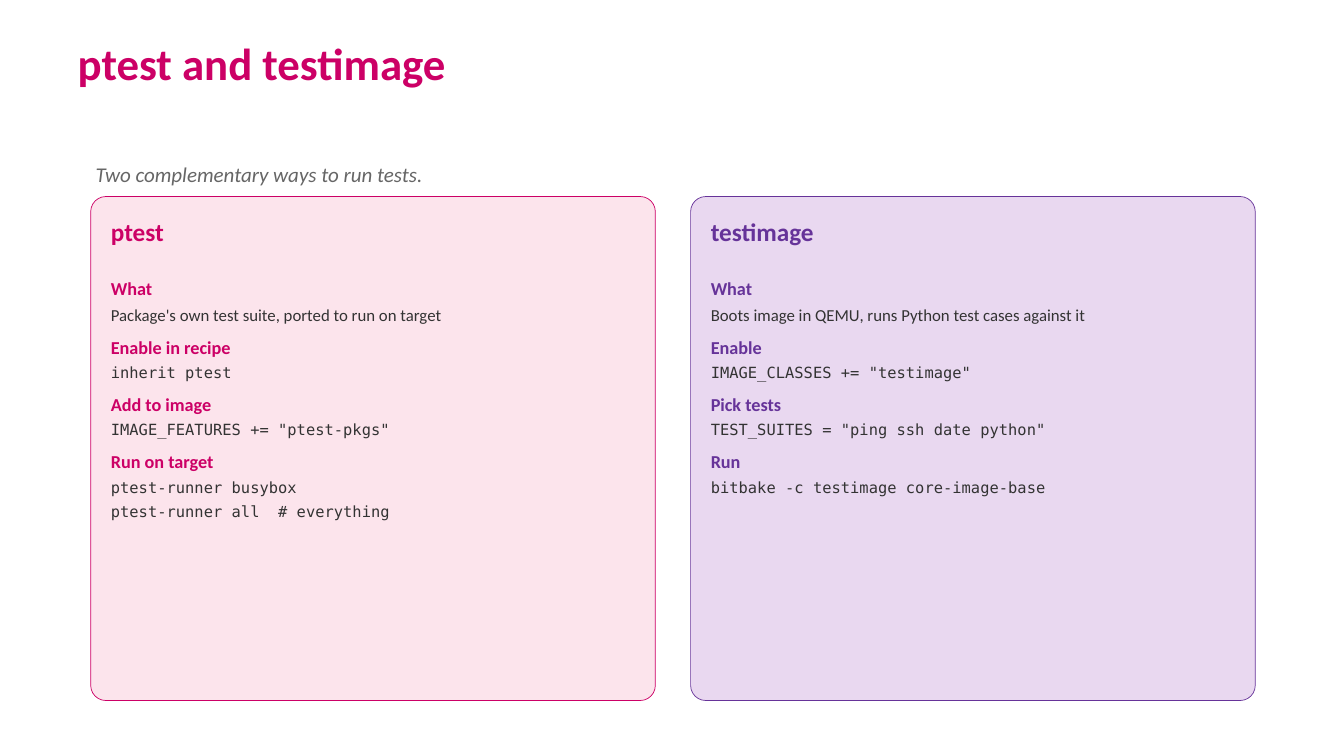
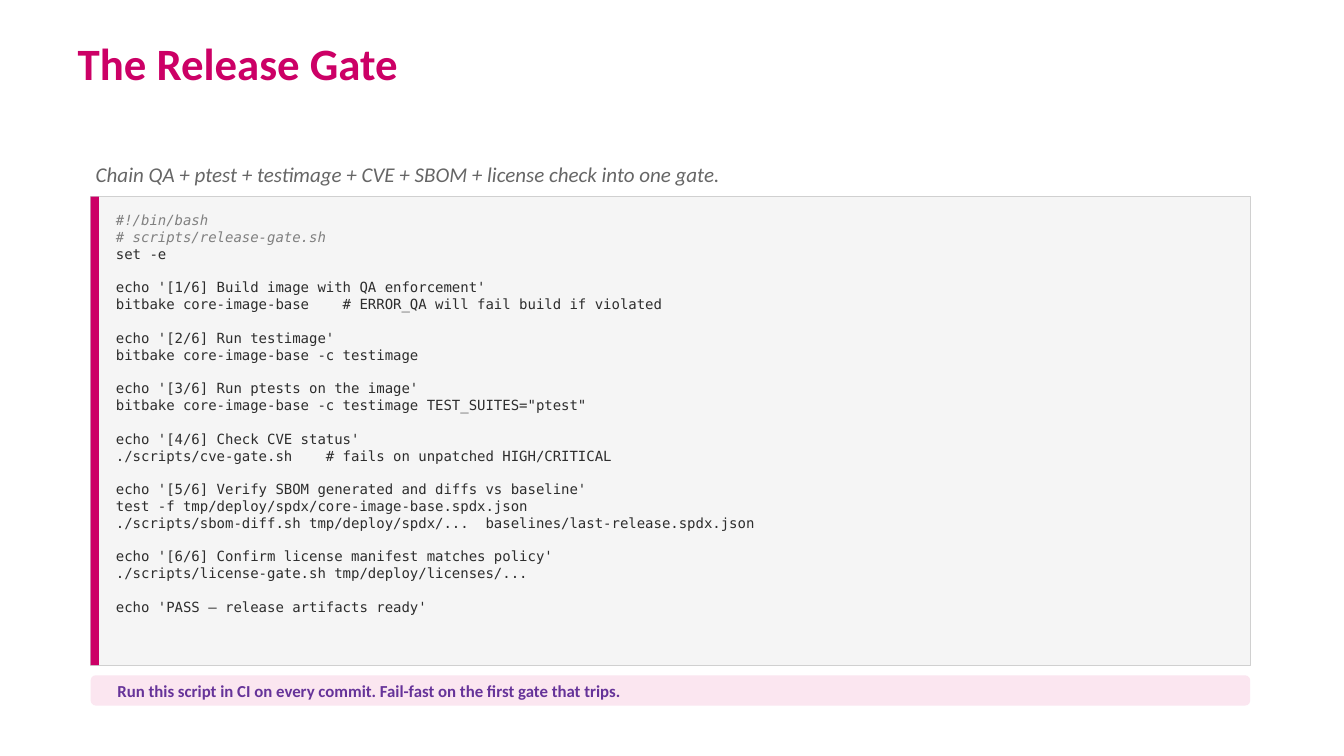
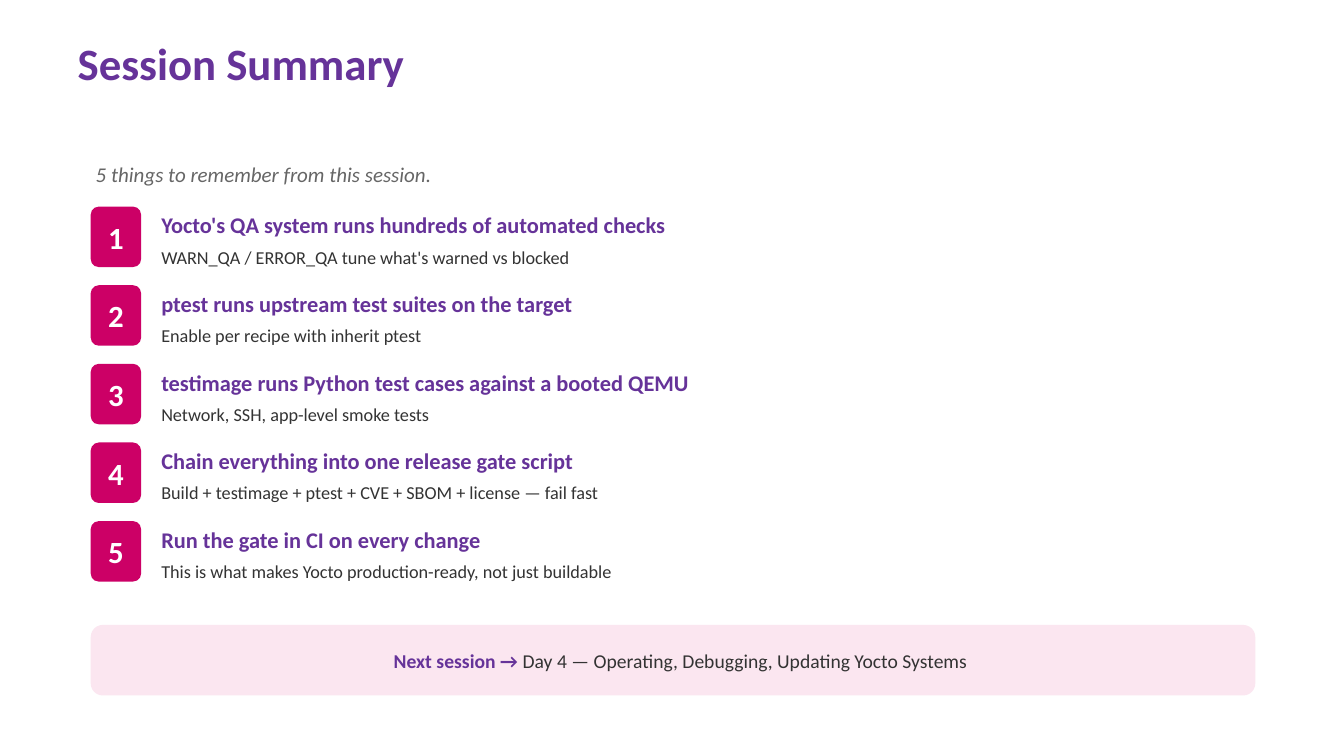
from dataclasses import dataclass
from typing import Optional

from pptx import Presentation
from pptx.dml.color import RGBColor
from pptx.enum import shapes, text
from pptx.util import Inches, Pt

MAGENTA = RGBColor(0xCC, 0x00, 0x66)
PURPLE = RGBColor(0x66, 0x33, 0x99)
ROSE = RGBColor(0xFC, 0xE4, 0xEC)
LILAC = RGBColor(0xE9, 0xD8, 0xF0)
BLUSH = RGBColor(0xFB, 0xE6, 0xF0)
PAPER = RGBColor(0xF5, 0xF5, 0xF5)
PAPER_EDGE = RGBColor(0xD0, 0xD0, 0xD0)
GREY = RGBColor(0x66, 0x66, 0x66)
COMMENT_GREY = RGBColor(0x80, 0x80, 0x80)
INK = RGBColor(0x33, 0x33, 0x33)
CODE_INK = RGBColor(0x2D, 0x2D, 0x2D)
WHITE = RGBColor(0xFF, 0xFF, 0xFF)

SANS = "Calibri"
MONO = "DejaVu Sans Mono"
LEFT = 0.9
BODY_TOP = 1.95
CARD_HEIGHT = 5
SCRIPT_HEIGHT = 4.65
CODE_LINE = 12


@dataclass(frozen=True)
class Style:
    size: float
    color: RGBColor
    bold: bool = False
    italic: bool = False
    face: str = SANS


@dataclass(frozen=True)
class Line:
    words: str
    style: Style
    before: float = 0
    after: float = 0


@dataclass(frozen=True)
class Topic:
    heading: str
    details: tuple[str, ...]
    is_code: bool = True


@dataclass(frozen=True)
class Card:
    name: str
    accent: RGBColor
    fill: RGBColor
    topics: tuple[Topic, ...]


@dataclass(frozen=True)
class Takeaway:
    heading: str
    detail: str


SUBTITLE = Style(15, GREY, italic=True)
PROSE = Style(12, INK)
SNIPPET = Style(11, INK, face=MONO)
CODE = Style(10, CODE_INK, face=MONO)
CODE_COMMENT = Style(10, COMMENT_GREY, italic=True, face=MONO)
NUMBER = Style(22, WHITE, bold=True)
TAKEAWAY_HEADING = Style(16, PURPLE, bold=True)
TAKEAWAY_DETAIL = Style(13, INK)
BANNER = Style(12, PURPLE, bold=True)
NEXT_LABEL = Style(14, PURPLE, bold=True)
NEXT_TOPIC = Style(14, INK)

CARDS = (
    Card("ptest", MAGENTA, ROSE, (
        Topic("What", ("Package's own test suite, ported to run on target",), is_code=False),
        Topic("Enable in recipe", ("inherit ptest",)),
        Topic("Add to image", ('IMAGE_FEATURES += "ptest-pkgs"',)),
        Topic("Run on target", ("ptest-runner busybox", "ptest-runner all  # everything")),
    )),
    Card("testimage", PURPLE, LILAC, (
        Topic("What", ("Boots image in QEMU, runs Python test cases against it",), is_code=False),
        Topic("Enable", ('IMAGE_CLASSES += "testimage"',)),
        Topic("Pick tests", ('TEST_SUITES = "ping ssh date python"',)),
        Topic("Run", ("bitbake -c testimage core-image-base",)),
    )),
)

GATE_STEPS = (
    ("#!/bin/bash", "# scripts/release-gate.sh", "set -e"),
    ("echo '[1/6] Build image with QA enforcement'",
     "bitbake core-image-base    # ERROR_QA will fail build if violated"),
    ("echo '[2/6] Run testimage'",
     "bitbake core-image-base -c testimage"),
    ("echo '[3/6] Run ptests on the image'",
     'bitbake core-image-base -c testimage TEST_SUITES="ptest"'),
    ("echo '[4/6] Check CVE status'",
     "./scripts/cve-gate.sh    # fails on unpatched HIGH/CRITICAL"),
    ("echo '[5/6] Verify SBOM generated and diffs vs baseline'",
     "test -f tmp/deploy/spdx/core-image-base.spdx.json",
     "./scripts/sbom-diff.sh tmp/deploy/spdx/...  baselines/last-release.spdx.json"),
    ("echo '[6/6] Confirm license manifest matches policy'",
     "./scripts/license-gate.sh tmp/deploy/licenses/..."),
    ("echo 'PASS — release artifacts ready'",),
)

TAKEAWAYS = (
    Takeaway("Yocto's QA system runs hundreds of automated checks",
             "WARN_QA / ERROR_QA tune what's warned vs blocked"),
    Takeaway("ptest runs upstream test suites on the target",
             "Enable per recipe with inherit ptest"),
    Takeaway("testimage runs Python test cases against a booted QEMU",
             "Network, SSH, app-level smoke tests"),
    Takeaway("Chain everything into one release gate script",
             "Build + testimage + ptest + CVE + SBOM + license — fail fast"),
    Takeaway("Run the gate in CI on every change",
             "This is what makes Yocto production-ready, not just buildable"),
)


def apply_style(font, style: Style) -> None:
    font.name = style.face
    font.size = Pt(style.size)
    font.bold = style.bold
    font.italic = style.italic
    font.color.rgb = style.color


def set_margins(frame, left: float, right: float) -> None:
    frame.margin_left, frame.margin_right = Inches(left), Inches(right)
    frame.margin_top = frame.margin_bottom = Inches(0.05)


def add_text(slide, left: float, top: float, width: float, height: float, *lines: Line) -> None:
    frame = slide.shapes.add_textbox(
        Inches(left), Inches(top), Inches(width), Inches(height)).text_frame
    frame.word_wrap = True
    frame.auto_size = text.MSO_AUTO_SIZE.SHAPE_TO_FIT_TEXT
    set_margins(frame, 0.05, 0.05)
    frame.text = "\n".join(line.words for line in lines)
    for paragraph, line in zip(frame.paragraphs, lines):
        if line.before:
            paragraph.space_before = Pt(line.before)
        if line.after:
            paragraph.space_after = Pt(line.after)
        apply_style(paragraph.runs[0].font, line.style)


def add_panel(slide, left: float, top: float, width: float, height: float, fill: RGBColor,
              edge: Optional[RGBColor] = None, radius: float = 0):
    kind = shapes.MSO_SHAPE.ROUNDED_RECTANGLE if radius else shapes.MSO_SHAPE.RECTANGLE
    panel = slide.shapes.add_shape(kind, Inches(left), Inches(top), Inches(width), Inches(height))
    if radius:
        panel.adjustments[0] = radius / min(width, height)
    panel.shadow.inherit = False
    panel.fill.solid()
    panel.fill.fore_color.rgb = fill
    if edge is None:
        panel.line.fill.background()
    else:
        panel.line.color.rgb = edge
        panel.line.width = Pt(0.5)
    return panel


def label_panel(panel, align: text.PP_ALIGN, left: float, right: float,
                *parts: tuple[str, Style]) -> None:
    frame = panel.text_frame
    frame.word_wrap = True
    frame.vertical_anchor = text.MSO_ANCHOR.MIDDLE
    set_margins(frame, left, right)
    paragraph = frame.paragraphs[0]
    paragraph.alignment = align
    for words, style in parts:
        run = paragraph.add_run()
        run.text = words
        apply_style(run.font, style)


def new_slide(deck, heading: str, subtitle: str, color: RGBColor = MAGENTA):
    slide = deck.slides.add_slide(deck.slide_layouts[5])
    title = slide.shapes.title
    title.left, title.top = Inches(0.67), Inches(0)
    title.width, title.height = Inches(12), Inches(1.25)
    frame = title.text_frame
    frame.text = heading
    frame.auto_size = text.MSO_AUTO_SIZE.NONE
    frame.vertical_anchor = text.MSO_ANCHOR.MIDDLE
    frame.paragraphs[0].alignment = text.PP_ALIGN.LEFT
    apply_style(frame.paragraphs[0].runs[0].font, Style(32, color, bold=True))
    add_text(slide, LEFT, 1.55, 11.5, 0.4, Line(subtitle, SUBTITLE))
    return slide


def topic_lines(topic: Topic, accent: RGBColor) -> list[Line]:
    style = SNIPPET if topic.is_code else PROSE
    after = 4 if topic.heading.startswith("Run") else 8
    return [Line(topic.heading, Style(13, accent, bold=True), after=4),
            *(Line(detail, style, after=after) for detail in topic.details)]


def add_card(slide, left: float, card: Card) -> None:
    add_panel(slide, left, BODY_TOP, 5.6, CARD_HEIGHT, card.fill, card.accent, radius=0.15)
    add_text(slide, left + 0.15, BODY_TOP + 0.15, 5.4, 0.5,
             Line(card.name, Style(18, card.accent, bold=True)))
    add_text(slide, left + 0.15, BODY_TOP + 0.75, 5.4, 4.15,
             *(line for topic in card.topics for line in topic_lines(topic, card.accent)))


def build_comparison(deck) -> None:
    slide = new_slide(deck, "ptest and testimage", "Two complementary ways to run tests.")
    for column, card in enumerate(CARDS):
        add_card(slide, LEFT + 5.95 * column, card)


def build_release_gate(deck) -> None:
    slide = new_slide(deck, "The Release Gate",
                      "Chain QA + ptest + testimage + CVE + SBOM + license check into one gate.")
    add_panel(slide, LEFT, BODY_TOP, 11.5, SCRIPT_HEIGHT, PAPER, PAPER_EDGE)
    add_panel(slide, LEFT, BODY_TOP, 0.08, SCRIPT_HEIGHT, MAGENTA)
    script = [
        Line(command, CODE_COMMENT if command.startswith("#") else CODE,
             before=CODE_LINE if step and not position else 0)
        for step, commands in enumerate(GATE_STEPS)
        for position, command in enumerate(commands)
    ]
    add_text(slide, 1.1, BODY_TOP + 0.1, 11.2, SCRIPT_HEIGHT - 0.2, *script)
    banner = add_panel(slide, LEFT, 6.7, 11.5, 0.3, BLUSH, radius=0.05)
    label_panel(banner, text.PP_ALIGN.LEFT, 0.25, 0.25,
                ("Run this script in CI on every commit. Fail-fast on the first gate that trips.",
                 BANNER))


def build_summary(deck) -> None:
    slide = new_slide(deck, "Session Summary", "5 things to remember from this session.", PURPLE)
    for row, takeaway in enumerate(TAKEAWAYS):
        top = 2.05 + 0.78 * row
        badge = add_panel(slide, LEFT, top, 0.5, 0.6, MAGENTA, radius=0.08)
        label_panel(badge, text.PP_ALIGN.CENTER, 0, 0, (str(row + 1), NUMBER))
        add_text(slide, 1.55, top, 11, 0.35, Line(takeaway.heading, TAKEAWAY_HEADING))
        add_text(slide, 1.55, top + 0.34, 11, 0.35, Line(takeaway.detail, TAKEAWAY_DETAIL))
    next_session = add_panel(slide, LEFT, 6.2, 11.55, 0.7, BLUSH, radius=0.12)
    label_panel(next_session, text.PP_ALIGN.CENTER, 0.25, 0.1,
                ("Next session → ", NEXT_LABEL),
                ("Day 4 — Operating, Debugging, Updating Yocto Systems", NEXT_TOPIC))


def main() -> None:
    deck = Presentation()
    deck.slide_width, deck.slide_height = Inches(13.33), Inches(7.5)
    build_comparison(deck)
    build_release_gate(deck)
    build_summary(deck)
    deck.save("out.pptx")


if __name__ == "__main__":
    main()
